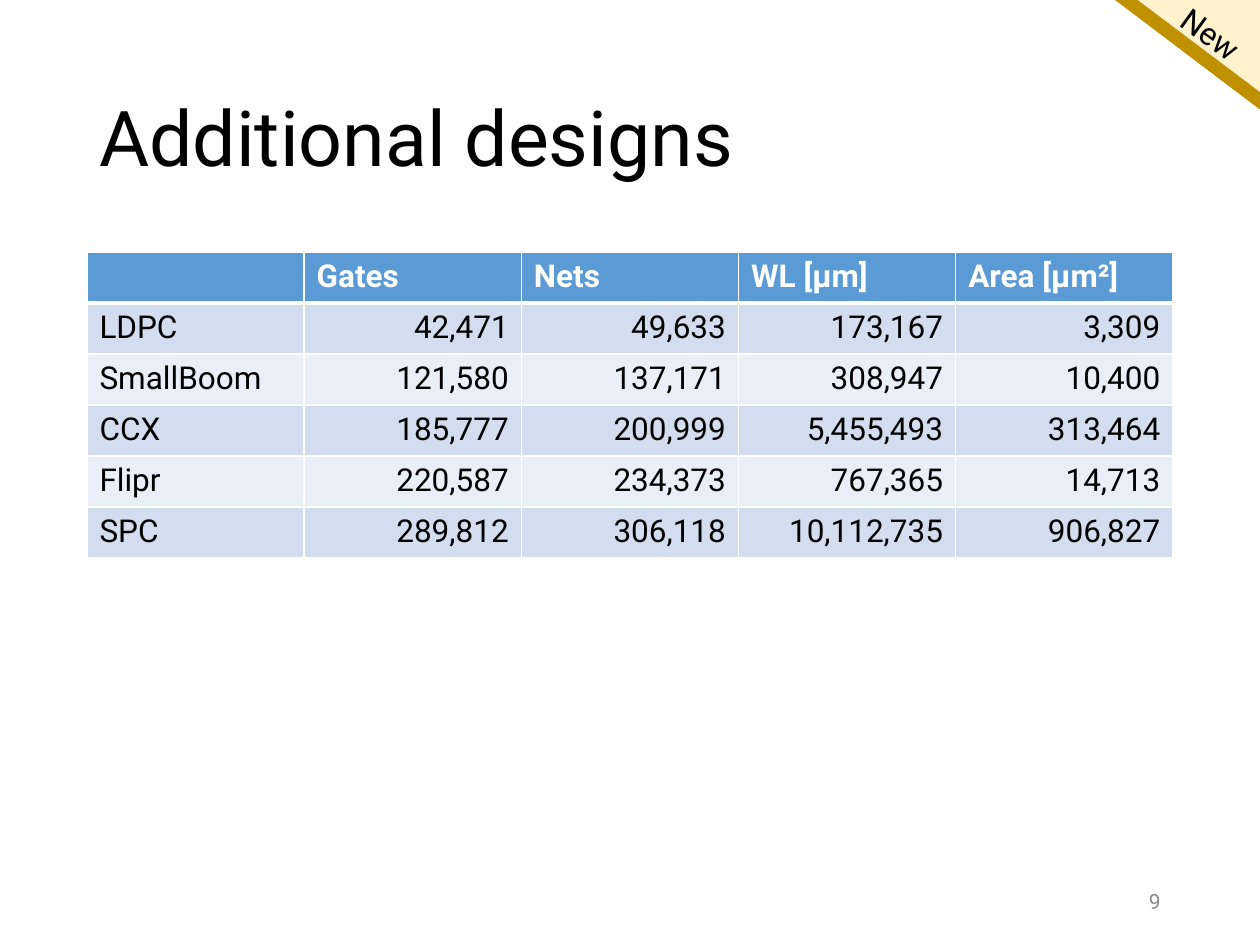
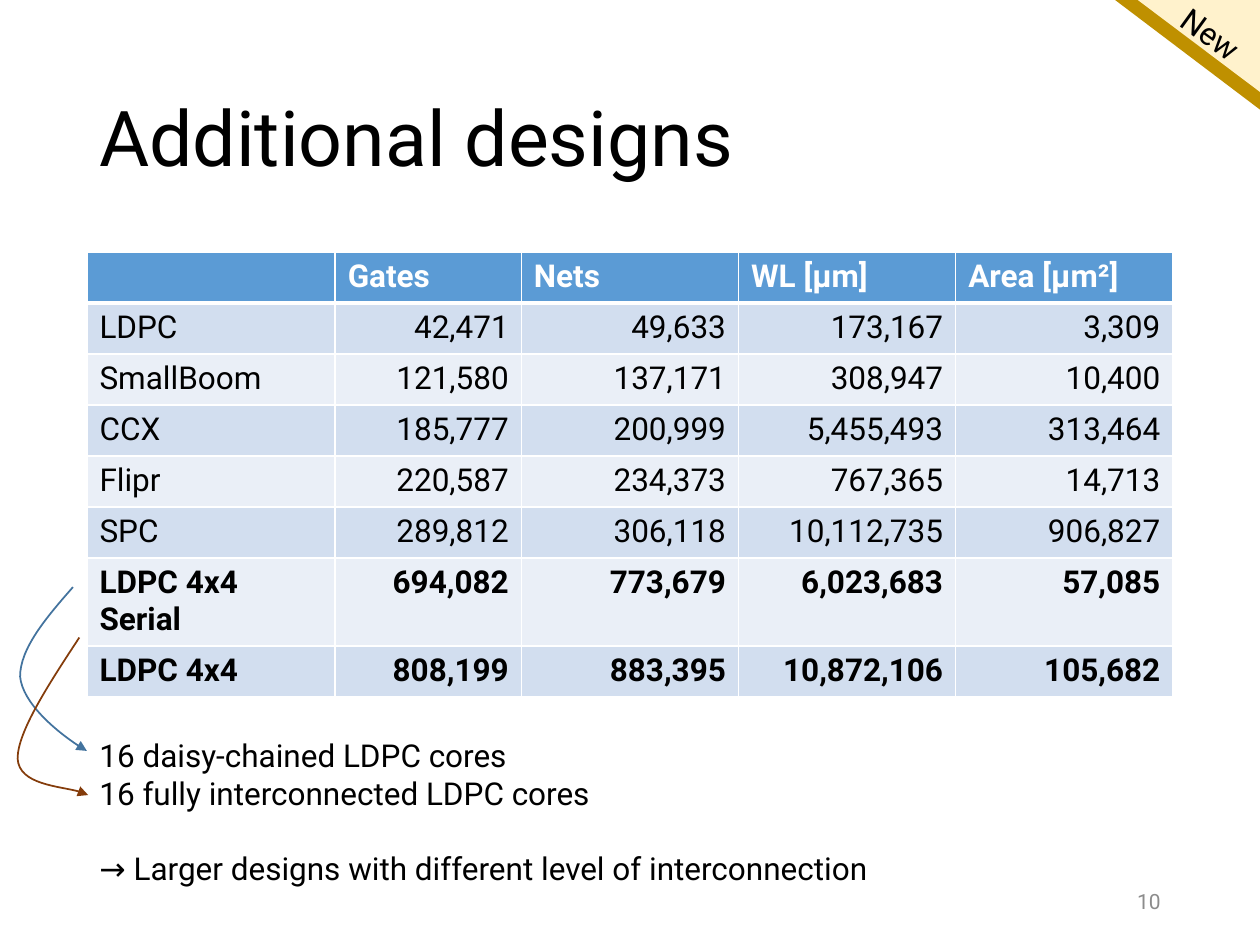
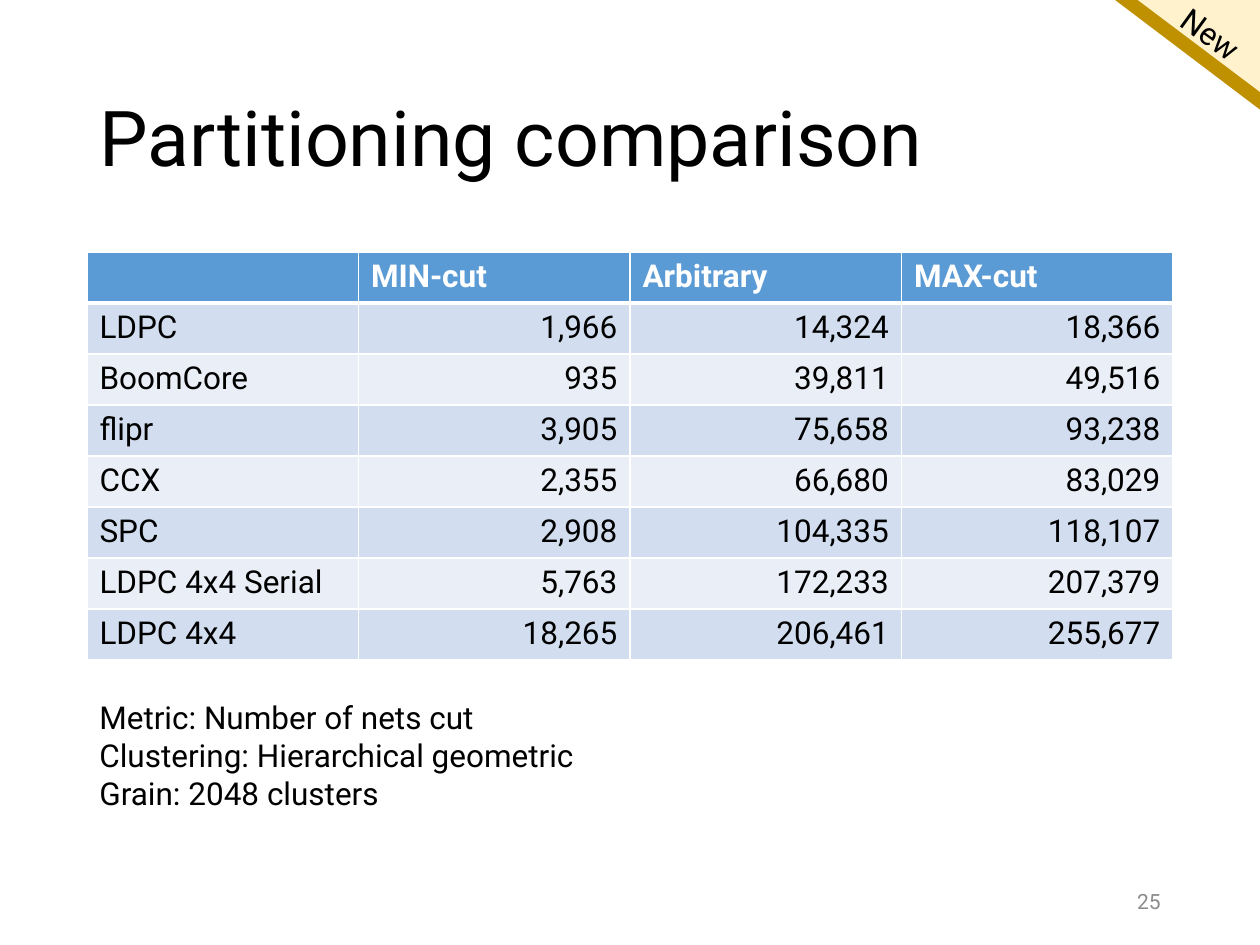
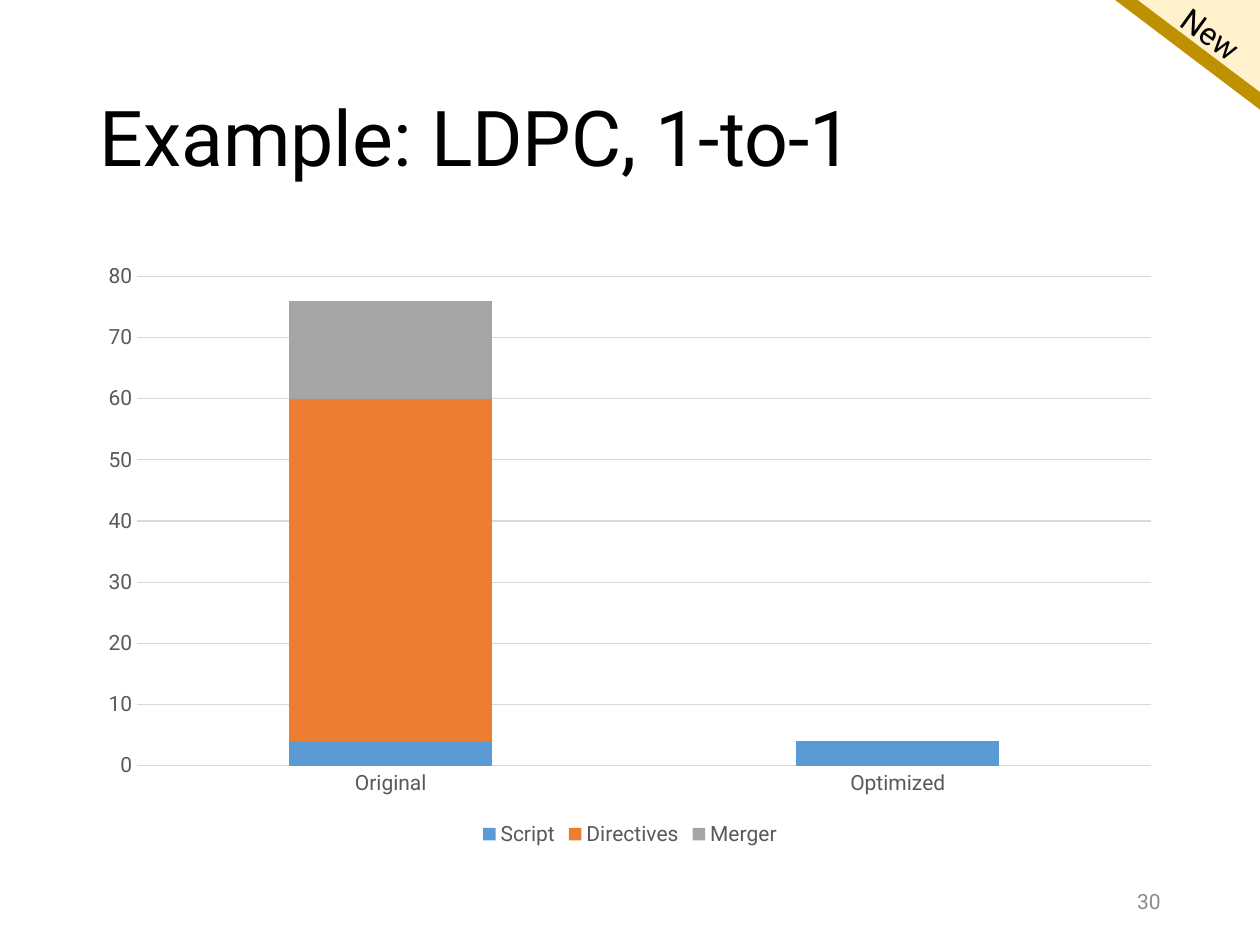
from lxml.etree import SubElement
from pptx import Presentation
from pptx.chart.data import CategoryChartData
from pptx.dml.color import RGBColor
from pptx.enum.chart import XL_CHART_TYPE, XL_LEGEND_POSITION, XL_TICK_MARK
from pptx.enum.shapes import MSO_SHAPE
from pptx.enum.text import MSO_ANCHOR, PP_ALIGN
from pptx.oxml.ns import qn
from pptx.util import Inches, Pt

STACKED = XL_CHART_TYPE.COLUMN_STACKED
LEGEND_BOTTOM = XL_LEGEND_POSITION.BOTTOM
NO_TICK = XL_TICK_MARK.NONE
STRIPE, TRIANGLE = MSO_SHAPE.DIAGONAL_STRIPE, MSO_SHAPE.RIGHT_TRIANGLE
TOP, MIDDLE = MSO_ANCHOR.TOP, MSO_ANCHOR.MIDDLE
LEFT, RIGHT = PP_ALIGN.LEFT, PP_ALIGN.RIGHT

FONT = "Roboto"
BLACK, WHITE, BLUE = "000000", "FFFFFF", "5B9BD5"
BANDS = ["D2DEEF", "EAEFF7"]
GOLD, CREAM = "BF9000", "FFF2CC"
AXIS_TEXT, AXIS_LINE, NUMBER_GREY = "595959", "D9D9D9", "8C8C8C"

WIDTH, HEIGHT = 10, 7.5
MARGIN = 0.69
CONTENT = WIDTH - 2 * MARGIN
BODY_TOP = 2
ROW = 3.24 / 8  # eight rows fill 3.24 inches


def colour(hex_string):
    return RGBColor.from_string(hex_string)


def add_text(page, lines, left, top, width, height, size=18, ink=BLACK,
             anchor=TOP, align=LEFT):
    box = page.shapes.add_textbox(Inches(left), Inches(top), Inches(width), Inches(height))
    frame = box.text_frame
    frame.word_wrap = True
    frame.vertical_anchor = anchor
    frame.text = "\n".join(lines)
    for para in frame.paragraphs:
        para.alignment = align
        para.font.name = FONT
        para.font.size = Pt(size)
        para.font.color.rgb = colour(ink)
    return box


deck = Presentation()
deck.slide_width, deck.slide_height = Inches(WIDTH), Inches(HEIGHT)
blank = deck.slide_layouts[6]

# Shared frame: corner ribbon, title and page number
pages = []
for title, number in [("Additional designs", 9), ("Additional designs", 10),
                      ("Partitioning comparison", 25), ("Example: LDPC, 1-to-1", 30)]:
    page = deck.slides.add_slide(blank)
    pages.append(page)
    for preset, width, height, fill, flips in [(STRIPE, 1.15, 0.87, GOLD, ["flipH"]),
                                               (TRIANGLE, 0.97, 0.73, CREAM, ["flipH", "flipV"])]:
        corner = page.shapes.add_shape(preset, Inches(WIDTH - width), 0,
                                       Inches(width), Inches(height))
        corner.shadow.inherit = False
        corner.fill.solid()
        corner.fill.fore_color.rgb = colour(fill)
        corner.line.fill.background()
        for flip in flips:
            corner._element.spPr.find(qn("a:xfrm")).set(flip, "1")
    add_text(page, ["New"], 9.25, 0.1, 0.81, 0.4).rotation = 35.9
    title_box = add_text(page, [title], MARGIN, 0.4, CONTENT, 1.45, size=44, anchor=MIDDLE)
    title_box.text_frame.paragraphs[0].line_spacing = 0.9
    add_text(page, [str(number)], WIDTH - MARGIN - 2.25, 6.95, 2.25, 0.4,
             size=12, ink=NUMBER_GREY, anchor=MIDDLE, align=RIGHT)
designs_page, larger_page, partition_page, example_page = pages

# Tables
designs = [
    ["", "Gates", "Nets", "WL [µm]", "Area [µm²]"],
    ["LDPC", "42,471", "49,633", "173,167", "3,309"],
    ["SmallBoom", "121,580", "137,171", "308,947", "10,400"],
    ["CCX", "185,777", "200,999", "5,455,493", "313,464"],
    ["Flipr", "220,587", "234,373", "767,365", "14,713"],
    ["SPC", "289,812", "306,118", "10,112,735", "906,827"],
]
larger_designs = [
    ["LDPC 4x4 Serial", "694,082", "773,679", "6,023,683", "57,085"],
    ["LDPC 4x4", "808,199", "883,395", "10,872,106", "105,682"],
]
partitions = [
    ["", "MIN-cut", "Arbitrary", "MAX-cut"],
    ["LDPC", "1,966", "14,324", "18,366"],
    ["BoomCore", "935", "39,811", "49,516"],
    ["flipr", "3,905", "75,658", "93,238"],
    ["CCX", "2,355", "66,680", "83,029"],
    ["SPC", "2,908", "104,335", "118,107"],
    ["LDPC 4x4 Serial", "5,763", "172,233", "207,379"],
    ["LDPC 4x4", "18,265", "206,461", "255,677"],
]
for page, rows, shares, bold_rows in [
    (designs_page, designs, [1] * 5, [0]),
    (larger_page, designs + larger_designs, [8, 6, 7, 7, 7], [0, 6, 7]),
    (partition_page, partitions, [1] * 4, [0]),
]:
    table = page.shapes.add_table(len(rows), len(shares), Inches(MARGIN), Inches(BODY_TOP),
                                  Inches(CONTENT), Inches(ROW * len(rows))).table
    for column, share in zip(table.columns, shares):
        column.width = Inches(CONTENT * share / sum(shares))
    for r, row in enumerate(rows):
        for c, text in enumerate(row):
            cell = table.cell(r, c)
            properties = cell._tc.get_or_add_tcPr()
            for side in ["L", "R", "T", "B"]:
                under_header = (r, side) in [(0, "B"), (1, "T")]
                border = SubElement(properties, qn(f"a:ln{side}"),
                                    w=str(Pt(3 if under_header else 1)))
                SubElement(SubElement(border, qn("a:solidFill")), qn("a:srgbClr"), val=WHITE)
            cell.fill.solid()
            cell.fill.fore_color.rgb = colour(BANDS[(r - 1) % 2] if r else BLUE)
            cell.text = text
            para = cell.text_frame.paragraphs[0]
            para.alignment = RIGHT if r and c else LEFT
            para.font.name = FONT
            para.font.size = Pt(18)
            para.font.bold = r in bold_rows
            para.font.color.rgb = colour(BLACK if r else WHITE)

# Notes below the tables
core_notes = add_text(larger_page, [
    "16 daisy-chained LDPC cores",
    "16 fully interconnected LDPC cores",
    "→ Larger designs with different level of interconnection",
], MARGIN, 5.79, CONTENT, 1.31)
core_notes.text_frame.paragraphs[2].space_before = Pt(21.5)
add_text(partition_page, [
    "Metric: Number of nets cut",
    "Clustering: Hierarchical geometric",
    "Grain: 2048 clusters",
], MARGIN, 5.49, CONTENT, 1.01)

# Curved arrows from the larger designs to their notes, as Bézier points
for ink, curve_points in [
    ("43739E", [(0.58, 4.66), (0.36, 4.91), (0.16, 5.15), (0.16, 5.37),
                (0.18, 5.58), (0.51, 5.86), (0.69, 5.96)]),
    ("843C0B", [(0.63, 5.06), (0.38, 5.44), (0.14, 5.81), (0.14, 6.02),
                (0.15, 6.23), (0.61, 6.25), (0.7, 6.31)]),
]:
    points = [(Inches(x), Inches(y)) for x, y in curve_points]
    builder = larger_page.shapes.build_freeform(*points[0])
    builder.add_line_segments(points[1:], close=False)
    arrow = builder.convert_to_shape()
    outline = next(arrow._element.iter(qn("a:path")))
    segments = outline.findall(qn("a:lnTo"))
    for start in range(0, len(segments), 3):
        curve = SubElement(outline, qn("a:cubicBezTo"))
        for segment in segments[start:start + 3]:
            curve.append(segment[0])
            outline.remove(segment)
    arrow.shadow.inherit = False
    arrow.fill.background()
    arrow.line.color.rgb = colour(ink)
    arrow.line.width = Pt(1)
    SubElement(arrow._element.spPr.find(qn("a:ln")), qn("a:tailEnd"), type="triangle")

# Stacked chart
series_data = [("Script", [4, 4], BLUE), ("Directives", [56, 0], "ED7D31"),
               ("Merger", [16, 0], "A5A5A5")]
data = CategoryChartData()
data.categories = ["Original", "Optimized"]
for name, values, _ in series_data:
    data.add_series(name, values)
chart = example_page.shapes.add_chart(STACKED, Inches(MARGIN), Inches(BODY_TOP),
                                      Inches(CONTENT), Inches(4.76), data).chart
chart.has_title = False
chart.font.name = FONT
chart.font.size = Pt(10)
chart.has_legend = True
chart.legend.position = LEGEND_BOTTOM
chart.legend.include_in_layout = False

plot = chart.plots[0]
plot.gap_width, plot.overlap = 150, 100
plot.vary_by_categories = False
for series, (_, _, fill) in zip(plot.series, series_data):
    series.format.fill.solid()
    series.format.fill.fore_color.rgb = colour(fill)

categories, scale = chart.category_axis, chart.value_axis
scale.minimum_scale, scale.maximum_scale, scale.major_unit = 0, 80, 10
for axis in [categories, scale]:
    axis.major_tick_mark = axis.minor_tick_mark = NO_TICK
for line in [categories.format.line, scale.major_gridlines.format.line]:
    line.color.rgb = colour(AXIS_LINE)
    line.width = Pt(0.75)
scale.format.line.fill.background()
for font in [categories.tick_labels.font, scale.tick_labels.font, chart.legend.font]:
    font.name = FONT
    font.size = Pt(12)
    font.color.rgb = colour(AXIS_TEXT)

deck.save("out.pptx")
